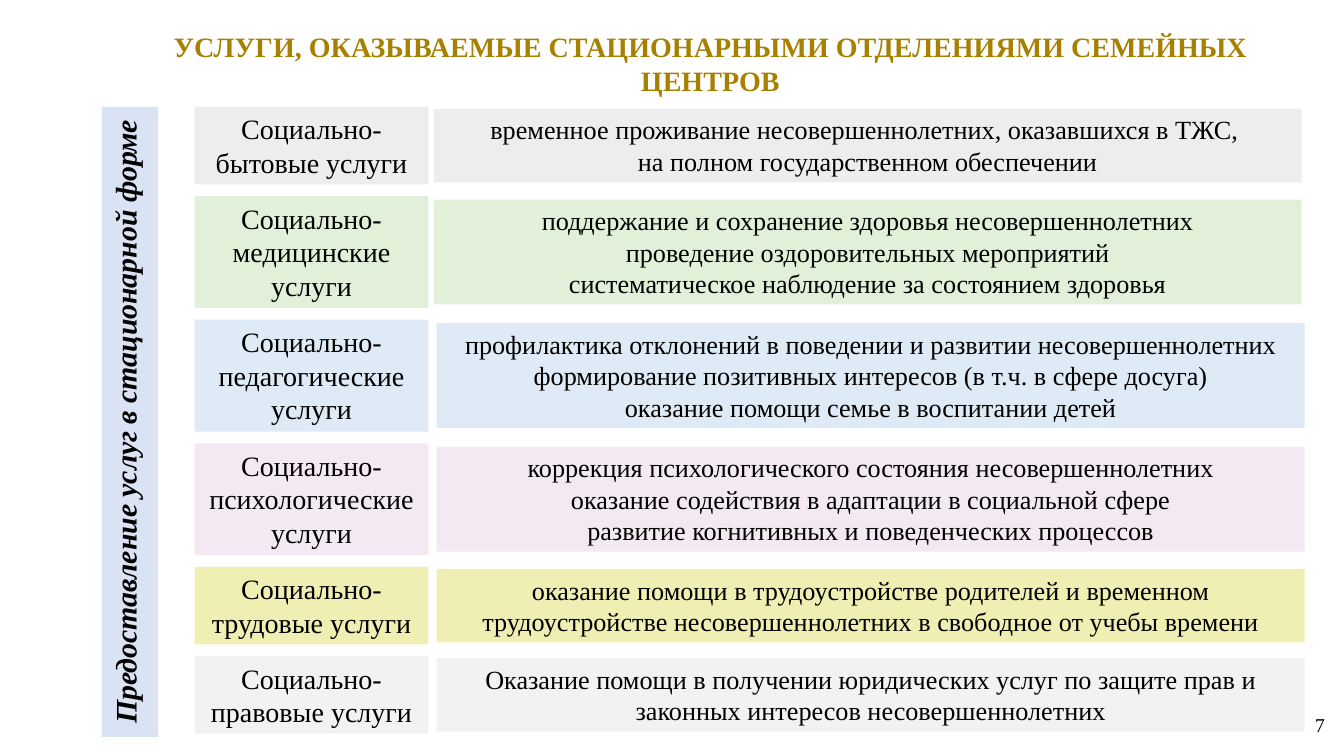
from dataclasses import dataclass

from pptx import Presentation
from pptx.dml.color import RGBColor
from pptx.enum.shapes import MSO_SHAPE
from pptx.enum.text import MSO_ANCHOR, MSO_AUTO_SIZE, PP_ALIGN
from pptx.util import Inches, Pt

FONT = "Times New Roman"


@dataclass
class Service:
    category: str
    details: list[str]
    color: str
    detail_left: float
    category_height: float
    detail_height: float


def two_line(category: str, details: list[str], color: str, left: float = 4.33) -> Service:
    return Service(category, details, color, left, 0.77, 0.73)


def three_line(category: str, details: list[str], color: str, left: float = 4.33) -> Service:
    return Service(category, details, color, left, 1.11, 1.04)


def rgb(color: str) -> RGBColor:
    return RGBColor.from_string(color)


def write(frame, paragraphs: list[str], size: float, color: str = "000000",
          align=PP_ALIGN.CENTER, anchor=MSO_ANCHOR.TOP,
          bold: bool = False, italic: bool = False) -> None:
    """Fill a text frame; a newline inside a paragraph is a line break."""
    frame.word_wrap = True
    frame.vertical_anchor = anchor
    for number, text in enumerate(paragraphs):
        paragraph = frame.add_paragraph() if number else frame.paragraphs[0]
        paragraph.alignment = align
        for line_number, line in enumerate(text.split("\n")):
            if line_number:
                paragraph.add_line_break()
            run = paragraph.add_run()
            run.text = line
            run.font.name = FONT
            run.font.size = Pt(size)
            run.font.bold = bold
            run.font.italic = italic
            run.font.color.rgb = rgb(color)


def add_panel(left: float, top: float, width: float, height: float, color: str):
    panel = slide.shapes.add_shape(MSO_SHAPE.RECTANGLE, Inches(left), Inches(top),
                                   Inches(width), Inches(height))
    panel.shadow.inherit = False
    panel.fill.solid()
    panel.fill.fore_color.rgb = rgb(color)
    panel.line.fill.background()
    return panel.text_frame


services = [
    two_line("Социально-бытовые услуги",
             ["временное проживание несовершеннолетних, оказавшихся в ТЖС, \n"
              "на полном государственном обеспечении"], "EDEDED", 4.3),
    three_line("Социально-медицинские услуги",
               ["поддержание и сохранение здоровья несовершеннолетних",
                "проведение оздоровительных мероприятий",
                "систематическое наблюдение за состоянием здоровья"], "E2F0D9", 4.3),
    three_line("Социально-педагогические услуги",
               ["профилактика отклонений в поведении и развитии несовершеннолетних",
                "формирование позитивных интересов (в т.ч. в сфере досуга)",
                "оказание помощи семье в воспитании детей"], "DEEBF7"),
    three_line("Социально-психологические услуги",
               ["коррекция психологического состояния несовершеннолетних",
                "оказание содействия в адаптации в социальной сфере",
                "развитие когнитивных и поведенческих процессов"], "F3E9F2"),
    two_line("Социально-трудовые услуги",
             ["оказание помощи в трудоустройстве родителей и временном трудоустройстве "
              "несовершеннолетних в свободное от учебы времени"], "F0EFB3"),
    two_line("Социально-правовые услуги",
             ["Оказание помощи в получении юридических услуг по защите прав и "
              "законных интересов несовершеннолетних"], "F2F2F2"),
]

presentation = Presentation()
presentation.slide_width, presentation.slide_height = Inches(13.33), Inches(7.5)
slide = presentation.slides.add_slide(presentation.slide_layouts[5])

# Title
title = slide.shapes.title
title.left, title.top = Inches(0.97), Inches(0.19)
title.width, title.height = Inches(12.15), Inches(0.88)
title.text_frame.auto_size = MSO_AUTO_SIZE.NONE
write(title.text_frame, ["УСЛУГИ, ОКАЗЫВАЕМЫЕ СТАЦИОНАРНЫМИ ОТДЕЛЕНИЯМИ СЕМЕЙНЫХ ЦЕНТРОВ"],
      20, "A88000", anchor=MSO_ANCHOR.MIDDLE, bold=True)
title.text_frame.paragraphs[0].line_spacing = Pt(24)

# Vertical heading
heading = add_panel(1.01, 1.06, 0.56, 6.25, "DAE3F3")
write(heading, ["Предоставление услуг в стационарной форме"], 21.3, bold=True, italic=True)
heading._bodyPr.set("vert", "vert270")

# Service rows, evenly spaced, with the details centred beside each category
ROWS_TOP, ROWS_BOTTOM = 1.06, 7.28
total_height = sum(service.category_height for service in services)
gap = (ROWS_BOTTOM - ROWS_TOP - total_height) / (len(services) - 1)
row_top = ROWS_TOP
for service in services:
    category = add_panel(1.93, row_top, 2.32, service.category_height, service.color)
    write(category, [service.category], 20)
    detail_top = row_top + (service.category_height - service.detail_height) / 2
    details = add_panel(service.detail_left, detail_top, 8.61, service.detail_height,
                        service.color)
    write(details, service.details, 18.7)
    row_top += service.category_height + gap

# Page number
page_number = slide.shapes.add_textbox(Inches(10.24), Inches(6.99), Inches(3), Inches(0.4))
write(page_number.text_frame, ["7"], 14, align=PP_ALIGN.RIGHT, anchor=MSO_ANCHOR.MIDDLE)

presentation.save("out.pptx")
